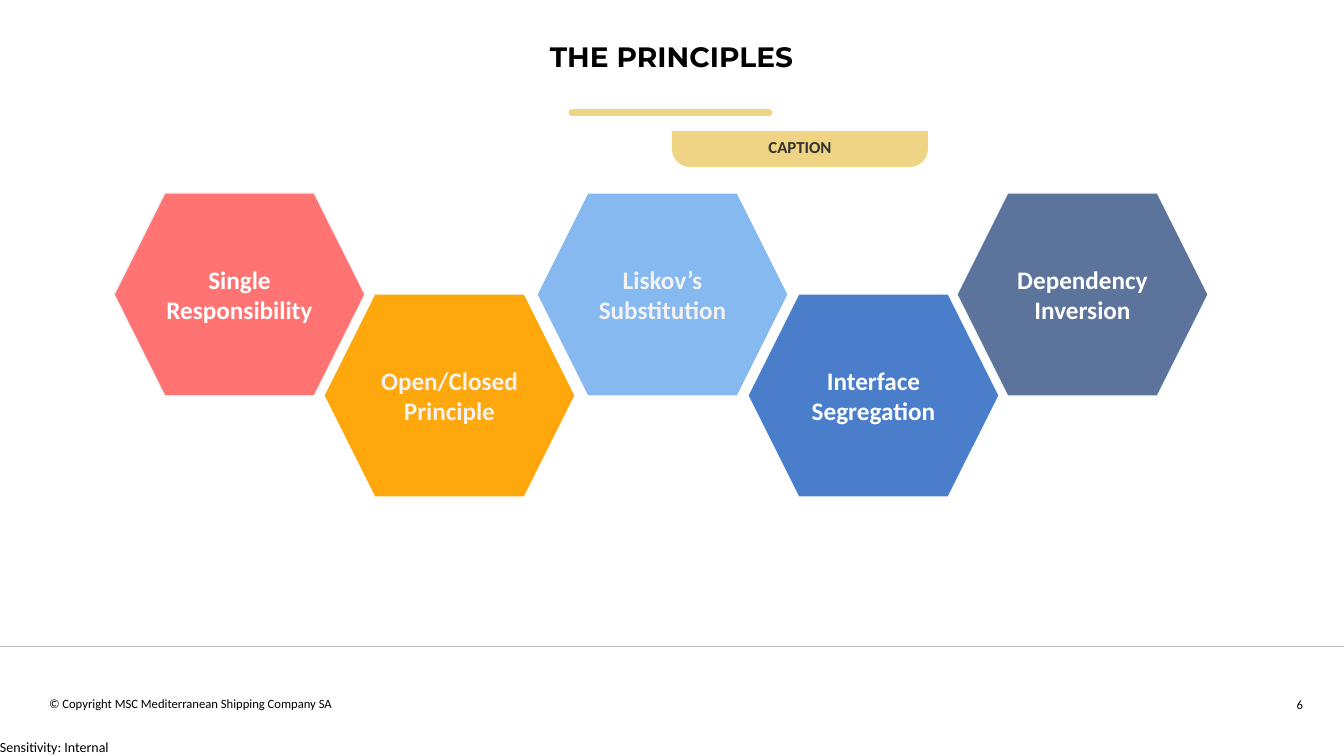
from dataclasses import dataclass

from lxml import etree
from pptx import Presentation
from pptx import util as u
from pptx.dml.color import RGBColor
from pptx.enum import shapes, text
from pptx.oxml.ns import qn

SCALE = 12192000 / 1344  # EMU in one px


@dataclass(frozen=True)
class Theme:
    body: str = "Calibri"
    head: str = "Montserrat"
    black: str = "000000"
    white: str = "FFFFFF"
    pale: str = "F2F2F2"
    dark: str = "333333"
    gold: str = "EED484"
    rule: str = "BFBFBF"
    title: int = 20
    label: int = 18
    tag: int = 12
    mark: int = 10
    foot: int = 9


T = Theme()
LEFT, CENTER, RIGHT = (text.PP_ALIGN.LEFT, text.PP_ALIGN.CENTER,
                       text.PP_ALIGN.RIGHT)
TOP, MIDDLE = text.MSO_ANCHOR.TOP, text.MSO_ANCHOR.MIDDLE

# label, left, top, fill, text colour, outline, outline width
CELLS = [
    ("Open/Closed Principle", 324, 294, "FEA80E", T.pale, T.white, 0.75),
    ("Liskov’s Substitution", 537, 193, "85B9EF", T.pale, T.white, 0.75),
    ("Interface Segregation", 748, 294, "4A7ECA", T.white, T.white, 0.75),
    ("Dependency Inversion", 957, 193, "5C749B", T.white, T.white, 0.75),
    ("Single Responsibility", 114, 193, "FF7373", T.white, T.pale, 1),
]


def px(*vals):
    return [u.Emu(round(v * SCALE)) for v in vals]


def rgb(code):
    return RGBColor.from_string(code)


def write(shape, words, size, color=T.black, font=T.body, bold=False,
          align=LEFT, anchor=TOP, pad=(0, 0), after=0, lead=None):
    frame = shape.text_frame
    frame.word_wrap = True
    frame.vertical_anchor = anchor
    frame.margin_left = frame.margin_right = px(pad[0])[0]
    frame.margin_top = frame.margin_bottom = px(pad[1])[0]
    para = frame.paragraphs[0]
    para.alignment = align
    para.space_after = u.Pt(after)
    if lead:
        para.line_spacing = lead
    run = para.add_run()
    run.text = words
    run.font.name, run.font.size, run.font.bold = font, u.Pt(size), bold
    run.font.color.rgb = rgb(color)


def label(slide, words, box, size, **style):
    write(slide.shapes.add_textbox(*px(*box)), words, size, **style)


def block(slide, kind, box, fill, edge=None, width=0):
    shape = slide.shapes.add_shape(kind, *px(*box))
    shape.shadow.inherit = False
    shape.fill.solid()
    shape.fill.fore_color.rgb = rgb(fill)
    if edge:
        shape.line.color.rgb = rgb(edge)
        shape.line.width = u.Pt(width)
    else:
        shape.line.fill.background()
    return shape


def rule(slide, left, right, y, color, width, cap="flat"):
    line = slide.shapes.add_connector(
        shapes.MSO_CONNECTOR.STRAIGHT, *px(left, y, right, y))
    line.line.color.rgb = rgb(color)
    line.line.width = u.Pt(width)
    line.line._get_or_add_ln().set("cap", cap)
    etree.SubElement(line._element.spPr, qn("a:effectLst"))


def main():
    deck = Presentation()
    deck.slide_width, deck.slide_height = px(1344, 756)
    slide = deck.slides.add_slide(deck.slide_layouts[5])

    # Title and its underline
    title = slide.shapes.title
    title.left, title.top, title.width, title.height = px(46, 0, 1251, 116)
    write(title, "THE PRINCIPLES", T.title, font=T.head, bold=True,
          align=CENTER, anchor=MIDDLE, lead=0.9)
    rule(slide, 572, 769, 113, T.gold, 5, cap="rnd")

    # Caption tab with rounded lower corners
    tab = block(slide, shapes.MSO_SHAPE.ROUND_2_SAME_RECTANGLE,
                (672, 131, 256, 36), T.gold)
    tab.adjustments[0], tab.adjustments[1] = 0, 0.5
    write(tab, "CAPTION", T.tag, color=T.dark, bold=True,
          align=CENTER, anchor=MIDDLE)

    # Five principles
    for words, left, top, fill, ink, edge, width in CELLS:
        cell = block(slide, shapes.MSO_SHAPE.HEXAGON, (left, top, 251, 203),
                     fill, edge, width)
        write(cell, words, T.label, color=ink, bold=True, align=CENTER,
              anchor=MIDDLE, after=6)

    # Footer
    rule(slide, 0, 1344, 646, T.rule, 0.5)
    label(slide, "© Copyright MSC Mediterranean Shipping Company SA",
          (39, 691, 406, 33), T.foot, pad=(10, 5), after=6)
    label(slide, "6", (1263, 692, 50, 33), T.foot, align=RIGHT,
          pad=(10, 5), after=6)
    label(slide, "Sensitivity: Internal", (0, 739, 112, 17), T.mark)

    deck.save("out.pptx")


if __name__ == "__main__":
    main()
